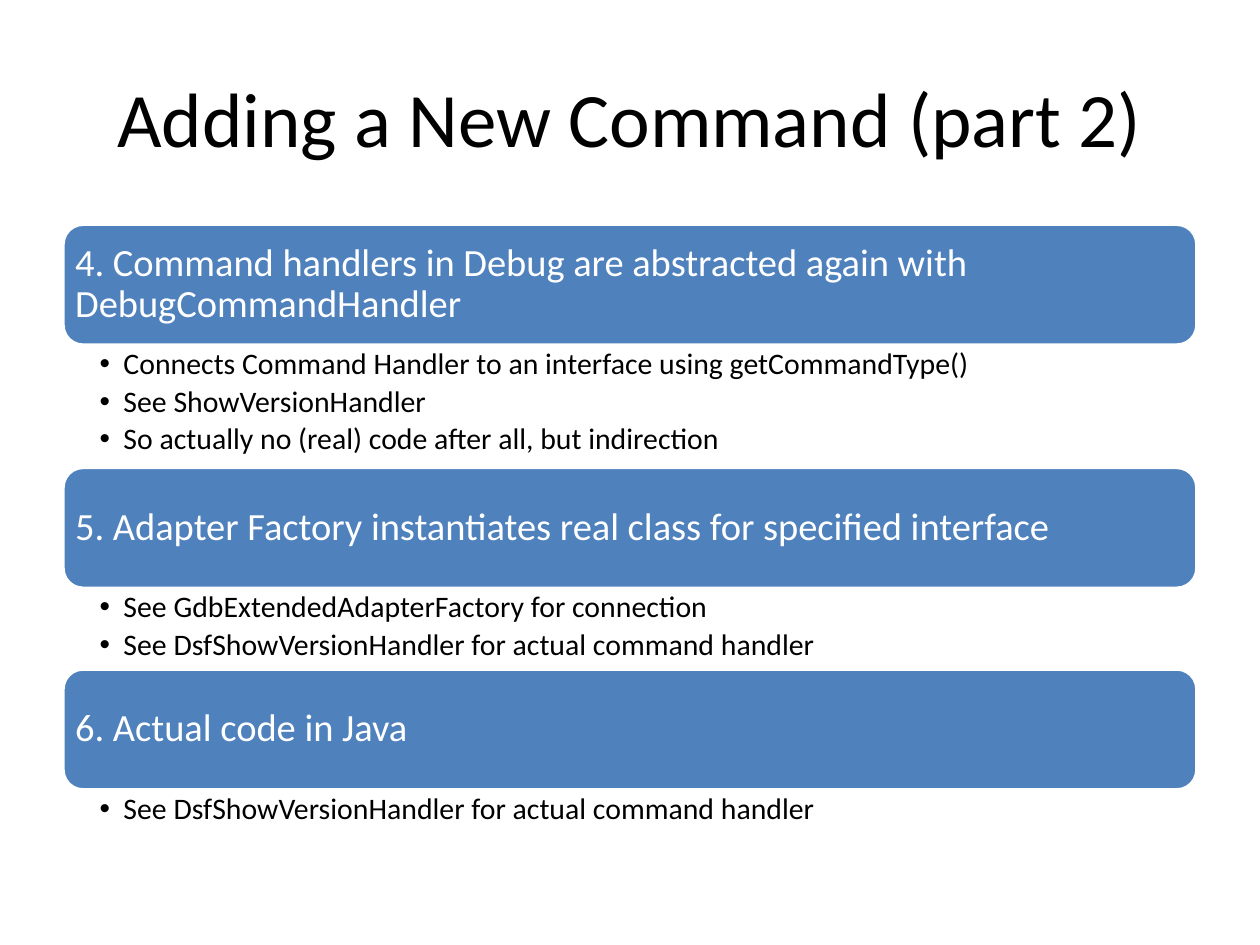
from lxml import etree
from pptx import Presentation
from pptx.dml.color import RGBColor
from pptx.enum.shapes import MSO_SHAPE
from pptx.enum.text import MSO_ANCHOR, PP_ALIGN
from pptx.oxml.ns import qn
from pptx.util import Inches, Pt

COLORS = {"background": "FFFFFF", "bar": "4F81BD", "bar_text": "FFFFFF", "text": "000000"}
FONT = "Calibri"
HEADING_HEIGHT = 0.96
SECTIONS = [
    ("4. Command handlers in Debug are abstracted again with DebugCommandHandler", 0.97, [
        "Connects Command Handler to an interface using getCommandType()",
        "See ShowVersionHandler",
        "So actually no (real) code after all, but indirection",
    ]),
    ("5. Adapter Factory instantiates real class for specified interface", 0.64, [
        "See GdbExtendedAdapterFactory for connection",
        "See DsfShowVersionHandler for actual command handler",
    ]),
    ("6. Actual code in Java", 0.4, [
        "See DsfShowVersionHandler for actual command handler",
    ]),
]


def color(name):
    return RGBColor.from_string(COLORS[name])


def set_frame(text_frame, insets, anchor):
    text_frame.word_wrap = True
    text_frame.vertical_anchor = anchor
    left, top, right, bottom = insets
    text_frame.margin_left = Inches(left)
    text_frame.margin_top = Inches(top)
    text_frame.margin_right = Inches(right)
    text_frame.margin_bottom = Inches(bottom)


def format_runs(paragraph, size, color_name):
    for run in paragraph.runs:
        run.font.name = FONT
        run.font.size = Pt(size)
        run.font.color.rgb = color(color_name)


def set_bullet(paragraph):
    properties = paragraph._p.get_or_add_pPr()
    properties.set("marL", str(Inches(0.19)))
    properties.set("indent", str(-Inches(0.19)))
    etree.SubElement(properties, qn("a:buFont")).set("typeface", "Arial")
    etree.SubElement(properties, qn("a:buChar")).set("char", "•")


def add_title(slide, left, top, width, height):
    shape = slide.shapes.add_textbox(Inches(left), Inches(top), Inches(width), Inches(height))
    set_frame(shape.text_frame, (0.1, 0.05, 0.1, 0.05), MSO_ANCHOR.MIDDLE)
    shape.text_frame.text = "Adding a New Command (part 2)"
    paragraph = shape.text_frame.paragraphs[0]
    paragraph.alignment = PP_ALIGN.CENTER
    format_runs(paragraph, 44, "text")


def add_heading(slide, heading, left, top, width, height):
    shape = slide.shapes.add_shape(
        MSO_SHAPE.ROUNDED_RECTANGLE, Inches(left), Inches(top), Inches(width), Inches(height))
    shape.shadow.inherit = False
    shape.fill.solid()
    shape.fill.fore_color.rgb = color("bar")
    shape.line.color.rgb = color("background")
    shape.line.width = Pt(2)
    set_frame(shape.text_frame, (0.05, 0.05, 0.05, 0.05), MSO_ANCHOR.MIDDLE)
    shape.text_frame.text = heading
    paragraph = shape.text_frame.paragraphs[0]
    paragraph.alignment = PP_ALIGN.LEFT
    paragraph.line_spacing = 0.9
    format_runs(paragraph, 22, "bar_text")


def add_bullets(slide, bullets, left, top, width, height):
    shape = slide.shapes.add_textbox(Inches(left), Inches(top), Inches(width), Inches(height))
    set_frame(shape.text_frame, (0.29, 0.03, 0.17, 0.03), MSO_ANCHOR.TOP)
    shape.text_frame.text = "\n".join(bullets)
    for paragraph in shape.text_frame.paragraphs:
        set_bullet(paragraph)
        paragraph.line_spacing = 0.9
        paragraph.space_after = Pt(3)
        format_runs(paragraph, 17, "text")


def add_sections(slide, left, top, width):
    for heading, bullets_height, bullets in SECTIONS:
        add_heading(slide, heading, left, top, width, HEADING_HEIGHT)
        top += HEADING_HEIGHT
        add_bullets(slide, bullets, left, top, width, bullets_height)
        top += bullets_height


def main():
    presentation = Presentation()
    presentation.slide_width = Inches(10)
    presentation.slide_height = Inches(7.5)
    slide = presentation.slides.add_slide(presentation.slide_layouts[6])
    slide.background.fill.solid()
    slide.background.fill.fore_color.rgb = color("background")
    add_title(slide, 0.5, 0.3, 9, 1.25)
    add_sections(slide, 0.5, 1.78, 9)
    presentation.save("out.pptx")


if __name__ == "__main__":
    main()
